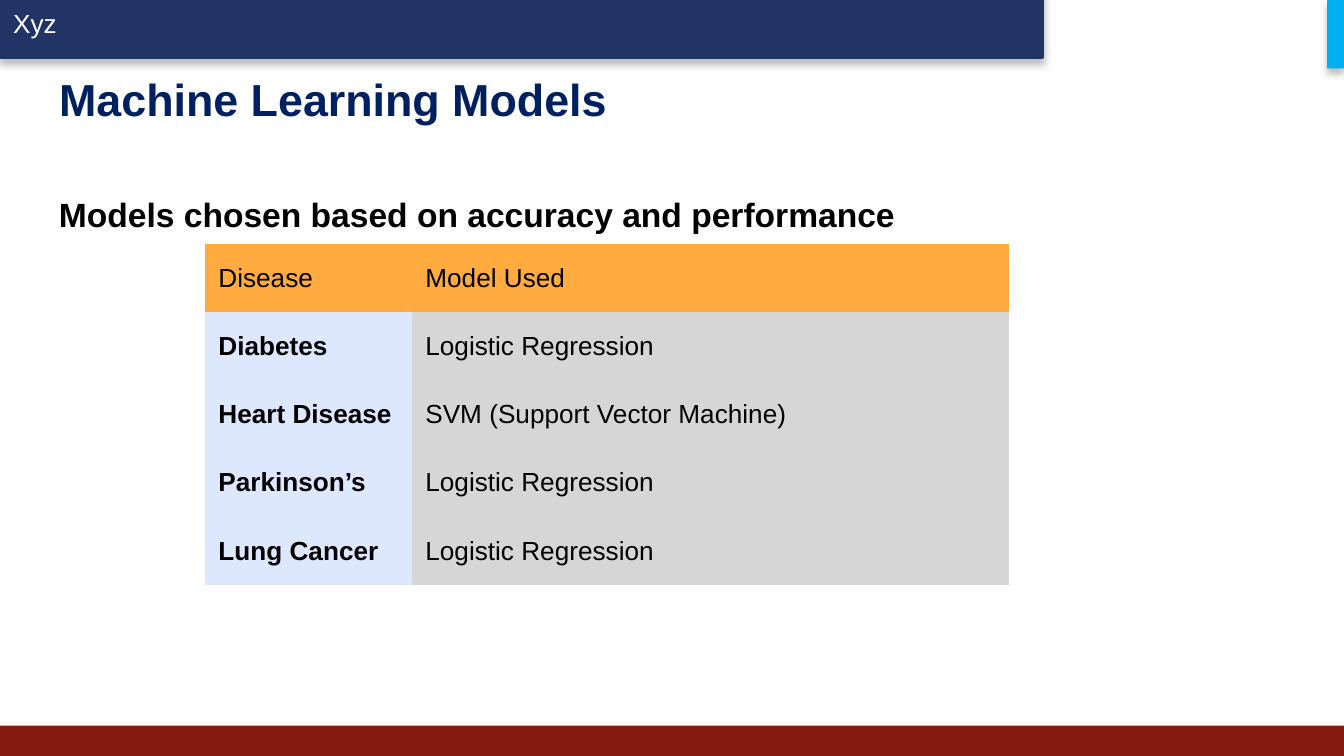
from dataclasses import dataclass

from lxml.etree import SubElement
from pptx import Presentation
from pptx.dml.color import RGBColor
from pptx.enum.shapes import MSO_SHAPE
from pptx.enum.text import MSO_ANCHOR, PP_ALIGN
from pptx.oxml.ns import qn
from pptx.shapes.autoshape import Shape
from pptx.slide import Slide
from pptx.text.text import TextFrame
from pptx.util import Emu, Pt

PX = 4572
NO_GRID_STYLE = "{2D5ABB26-0587-4C30-8999-92F81FD0307C}"


@dataclass(frozen=True)
class Theme:
    font: str = "Arial"
    navy: str = "223366"
    maroon: str = "851910"
    cyan: str = "00B0F0"
    title: str = "002060"
    text: str = "000000"
    white: str = "FFFFFF"
    header: str = "FFAB40"
    disease: str = "DDE8FF"
    model: str = "D6D6D6"
    title_size: int = 24
    subtitle_size: int = 18
    text_size: int = 14


@dataclass(frozen=True)
class Box:
    x: int
    y: int
    w: int
    h: int

    def emu(self) -> tuple[Emu, ...]:
        return tuple(Emu(v * PX) for v in (self.x, self.y, self.w, self.h))


@dataclass(frozen=True)
class Bar:
    box: Box
    color: str
    shadow: bool = False
    outline: int = 0
    label: str = ""


THEME = Theme()
SLIDE_W, SLIDE_H = 2000, 1125
BARS = [
    Bar(Box(0, -17, 1551, 102), THEME.navy, shadow=True, outline=2, label="Xyz"),
    Bar(Box(0, 1080, SLIDE_W, 45), THEME.maroon),
    Bar(Box(1975, 0, 25, 102), THEME.cyan, shadow=True),
]
TITLE_BOX = Box(68, 97, 1864, 100)
SUBTITLE_BOX = Box(68, 278, 2062, 80)
TABLE_BOX = Box(305, 363, 1197, 508)
COLUMNS = (308, 889)
ROWS = [
    ("Disease", "Model Used"),
    ("Diabetes", "Logistic Regression"),
    ("Heart Disease", "SVM (Support Vector Machine)"),
    ("Parkinson’s", "Logistic Regression"),
    ("Lung Cancer", "Logistic Regression"),
]


def write(tf: TextFrame, text: str, size: int, color: str, bold: bool = False) -> None:
    tf.word_wrap = True
    p = tf.paragraphs[0]
    p.text = text
    p.alignment = PP_ALIGN.LEFT
    p.font.name = THEME.font
    p.font.size = Pt(size)
    p.font.bold = bold
    p.font.color.rgb = RGBColor.from_string(color)


def add_shadow(s: Shape) -> None:
    effects = s._element.spPr.find(qn("a:effectLst"))
    shadow = SubElement(effects, qn("a:outerShdw"), blurRad=str(Pt(4)),
                        dist=str(Pt(3)), dir="5400000", rotWithShape="0")
    color = SubElement(shadow, qn("a:srgbClr"), val="000000")
    SubElement(color, qn("a:alpha"), val="25000")


def add_bar(slide: Slide, bar: Bar) -> None:
    s = slide.shapes.add_shape(MSO_SHAPE.RECTANGLE, *bar.box.emu())
    s.fill.solid()
    s.fill.fore_color.rgb = RGBColor.from_string(bar.color)
    if bar.outline:
        s.line.color.rgb = RGBColor.from_string(bar.color)
        s.line.width = Pt(bar.outline)
    else:
        s.line.fill.background()
    s.shadow.inherit = False
    if bar.shadow:
        add_shadow(s)
    if bar.label:
        s.text_frame.vertical_anchor = MSO_ANCHOR.MIDDLE
        write(s.text_frame, bar.label, THEME.text_size, THEME.white)


def add_title(slide: Slide, text: str) -> None:
    sp = slide.shapes.title
    sp.left, sp.top, sp.width, sp.height = TITLE_BOX.emu()
    sp.text_frame.vertical_anchor = MSO_ANCHOR.MIDDLE
    write(sp.text_frame, text, THEME.title_size, THEME.title, bold=True)


def add_subtitle(slide: Slide, text: str) -> None:
    tf = slide.shapes.add_textbox(*SUBTITLE_BOX.emu()).text_frame
    tf.vertical_anchor = MSO_ANCHOR.MIDDLE
    write(tf, text, THEME.subtitle_size, THEME.text, bold=True)


def add_model_table(slide: Slide) -> None:
    table = slide.shapes.add_table(len(ROWS), len(COLUMNS), *TABLE_BOX.emu()).table
    table.first_row = table.horz_banding = False
    table._tbl.tblPr.find(qn("a:tableStyleId")).text = NO_GRID_STYLE
    for column, width in zip(table.columns, COLUMNS):
        column.width = Emu(width * PX)
    for i, row in enumerate(ROWS):
        fills = (THEME.disease, THEME.model) if i else (THEME.header, THEME.header)
        for j, (text, fill) in enumerate(zip(row, fills)):
            cell = table.cell(i, j)
            cell.fill.solid()
            cell.fill.fore_color.rgb = RGBColor.from_string(fill)
            cell.vertical_anchor = MSO_ANCHOR.MIDDLE
            write(cell.text_frame, text, THEME.text_size, THEME.text,
                  bold=i > 0 and j == 0)


def main() -> None:
    prs = Presentation()
    prs.slide_width, prs.slide_height = Emu(SLIDE_W * PX), Emu(SLIDE_H * PX)
    slide = prs.slides.add_slide(prs.slide_layouts[5])
    for bar in BARS:
        add_bar(slide, bar)
    add_title(slide, "Machine Learning Models")
    add_model_table(slide)
    add_subtitle(slide, "Models chosen based on accuracy and performance")
    prs.save("out.pptx")


if __name__ == "__main__":
    main()
